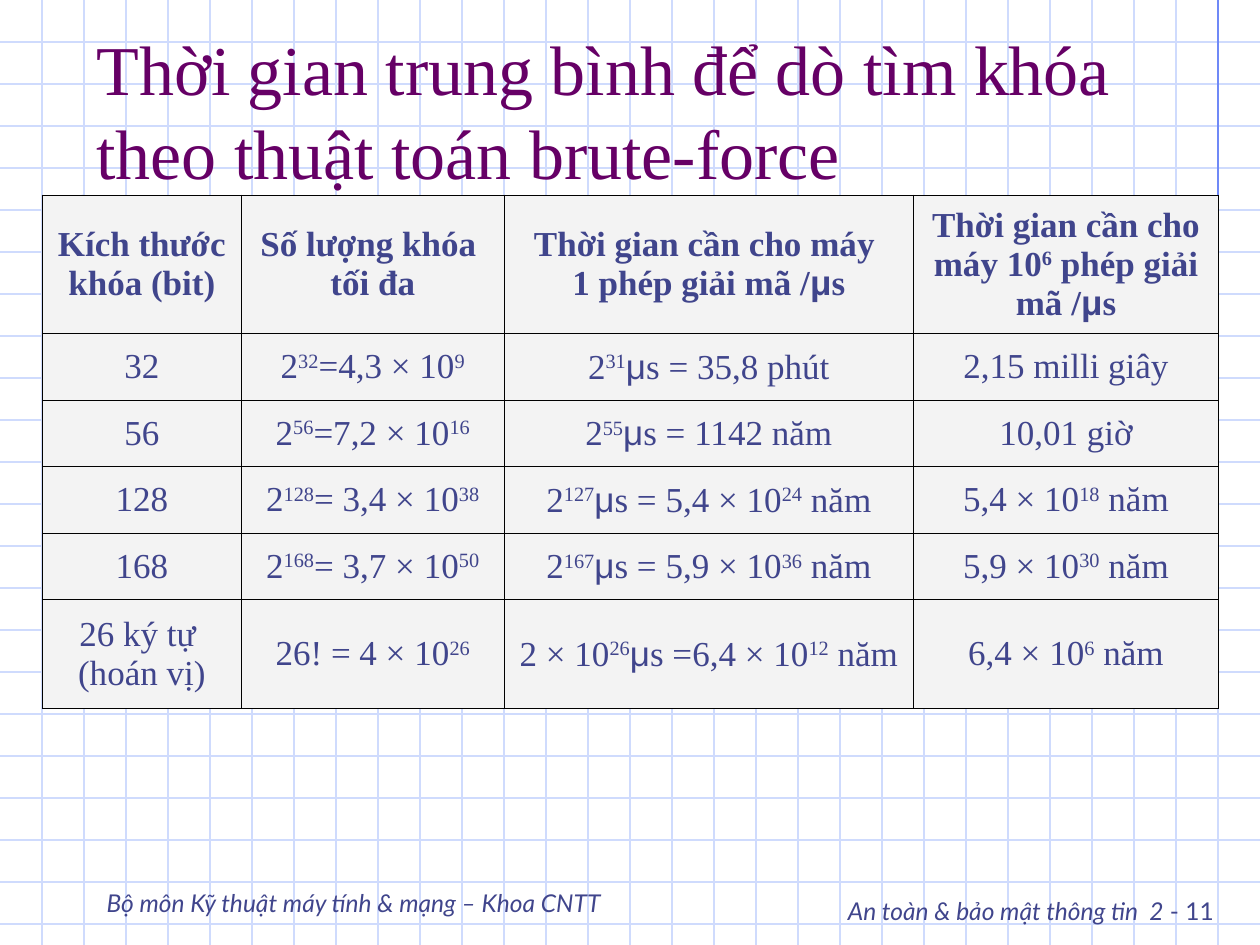
"""Build the slide on average brute-force key search times."""
from lxml import etree
from pptx import Presentation
from pptx.dml.color import RGBColor
from pptx.enum.shapes import MSO_CONNECTOR, MSO_SHAPE
from pptx.enum.text import MSO_ANCHOR, MSO_AUTO_SIZE, PP_ALIGN
from pptx.oxml.ns import qn
from pptx.util import Cm, Pt

STRAIGHT = MSO_CONNECTOR.STRAIGHT
ARC = MSO_SHAPE.ARC
TOP, MIDDLE, BOTTOM = MSO_ANCHOR.TOP, MSO_ANCHOR.MIDDLE, MSO_ANCHOR.BOTTOM
NO_AUTOFIT = MSO_AUTO_SIZE.NONE
LEFT, CENTER, RIGHT = PP_ALIGN.LEFT, PP_ALIGN.CENTER, PP_ALIGN.RIGHT

COLORS = {
    "grid": "CFDBFD",
    "accent": "6F89F7",
    "title": "660066",
    "text": "40458C",
    "cell": "F3F3F3",
    "border": "000000",
}
SERIF, SANS, MU_FONT = "Times New Roman", "Lato", "Arial"

WIDTH, HEIGHT = 25.4, 19.05
GRID_STEP = WIDTH / 30
COLUMN_WIDTHS = [4.02, 5.29, 8.26, 6.14]
ROW_HEIGHTS = [2.8, 1.34, 1.34, 1.34, 1.34, 2.19]

# Every second piece between bars is a superscript.
KEY_TIMES = [
    ["Kích thước khóa (bit)", "Số lượng khóa \ntối đa",
     "Thời gian cần cho máy \n1 phép giải mã /μs",
     "Thời gian cần cho máy 10|6| phép giải mã /μs"],
    ["32", "2|32|=4,3 × 10|9", "2|31|μs = 35,8 phút", "2,15 milli giây"],
    ["56", "2|56|=7,2 × 10|16", "2|55|μs = 1142 năm", "10,01 giờ"],
    ["128", "2|128|= 3,4 × 10|38", "2|127|μs = 5,4 × 10|24| năm",
     "5,4 × 10|18| năm"],
    ["168", "2|168|= 3,7 × 10|50", "2|167|μs = 5,9 × 10|36| năm",
     "5,9 × 10|30| năm"],
    ["26 ký tự \n(hoán vị)", "26! = 4 × 10|26",
     "2 × 10|26|μs =6,4 × 10|12| năm", "6,4 × 10|6| năm"],
]


def rgb(name):
    """Return the named colour."""
    return RGBColor.from_string(COLORS[name])


def style_paragraph(paragraph, font_name, size, color, align=LEFT):
    """Set the font and alignment shared by a paragraph's runs."""
    paragraph.alignment = align
    paragraph.font.name = font_name
    paragraph.font.size = Pt(size)
    paragraph.font.color.rgb = rgb(color)


def add_line(shapes, start, end, color):
    """Draw a thin straight line between two points in centimetres."""
    line = shapes.add_connector(STRAIGHT, *map(Cm, start + end))
    line.line.color.rgb = rgb(color)
    line.line.width = Pt(0.75)
    etree.SubElement(line._element.spPr, qn("a:effectLst"))


def add_grid(slide):
    """Draw the squared-paper background."""
    lines = slide.shapes.add_group_shape().shapes
    for row in range(1, 23):
        y = row * GRID_STEP
        add_line(lines, (0, y), (WIDTH, y), "grid")
    for column in range(1, 30):
        x = column * GRID_STEP
        add_line(lines, (x, 0), (x, HEIGHT), "grid")


def add_margin_lines(slide):
    """Draw the darker margin lines and the small ring at their crossing."""
    margins = slide.shapes.add_group_shape().shapes
    right, left = 29 * GRID_STEP, 2 * GRID_STEP
    add_line(margins, (right, 0), (right, 6.55), "accent")
    add_line(margins, (6.1, 4.22), (1.14, 4.22), "accent")
    add_line(margins, (left, 3.94), (left, 10.39), "accent")
    ring = margins.add_shape(ARC, Cm(1.42), Cm(3.94), Cm(0.53), Cm(0.53))
    ring.adjustments[0], ring.adjustments[1] = 0, 162
    ring.shadow.inherit = False
    ring.fill.background()
    ring.line.color.rgb = rgb("accent")
    ring.line.width = Pt(0.75)


def place_title(slide, text):
    """Fill the title placeholder and bring it in front of the grid."""
    title = slide.shapes.title
    title.left, title.top = Cm(1.69), Cm(0.85)
    title.width, title.height = Cm(21.59), Cm(3.18)
    frame = title.text_frame
    frame.text = text
    frame.auto_size = NO_AUTOFIT
    frame.vertical_anchor = BOTTOM
    style_paragraph(frame.paragraphs[0], SERIF, 40, "title")
    slide.shapes._spTree.append(title._element)


def add_footer(slide, box, pieces, align, anchor):
    """Add a footer from (text, size, italic) pieces."""
    footer = slide.shapes.add_textbox(*map(Cm, box))
    frame = footer.text_frame
    frame.word_wrap = True
    frame.vertical_anchor = anchor
    paragraph = frame.paragraphs[0]
    style_paragraph(paragraph, SANS, 14, "text", align)
    for text, size, italic in pieces:
        run = paragraph.add_run()
        run.text = text
        run.font.size = Pt(size)
        run.font.italic = italic


def add_run(paragraph, text, raised):
    """Append a run, raised as a superscript or with the font for mu."""
    run = paragraph.add_run()
    run.text = text
    if raised:
        run._r.get_or_add_rPr().set("baseline", "30000")
    if text == "μ":
        run.font.name = MU_FONT


def write_formula(paragraph, formula):
    """Write text with superscripts, mu signs and line breaks."""
    for index, piece in enumerate(formula.split("|")):
        for line_number, line in enumerate(piece.split("\n")):
            if line_number:
                paragraph.add_line_break()
            before, mu, after = line.partition("μ")
            for text in filter(None, (before, mu, after)):
                add_run(paragraph, text, index % 2 == 1)


def add_borders(cell):
    """Give a cell thin borders on all four sides."""
    properties = cell._tc.get_or_add_tcPr()
    for side in ("lnL", "lnR", "lnT", "lnB"):
        border = etree.SubElement(properties, qn(f"a:{side}"), w=str(Pt(0.45)))
        fill = etree.SubElement(border, qn("a:solidFill"))
        etree.SubElement(fill, qn("a:srgbClr"), val=COLORS["border"])


def add_key_table(slide):
    """Add the table of key sizes and search times."""
    table = slide.shapes.add_table(
        len(ROW_HEIGHTS), len(COLUMN_WIDTHS), Cm(0.85), Cm(3.93),
        Cm(sum(COLUMN_WIDTHS)), Cm(sum(ROW_HEIGHTS))).table
    for column, width in zip(table.columns, COLUMN_WIDTHS):
        column.width = Cm(width)
    for row_index, formulas in enumerate(KEY_TIMES):
        row = table.rows[row_index]
        row.height = Cm(ROW_HEIGHTS[row_index])
        for cell, formula in zip(row.cells, formulas):
            add_borders(cell)
            cell.fill.solid()
            cell.fill.fore_color.rgb = rgb("cell")
            cell.vertical_anchor = MIDDLE
            paragraph = cell.text_frame.paragraphs[0]
            style_paragraph(paragraph, SERIF, 20, "text", CENTER)
            paragraph.font.bold = row_index == 0
            write_formula(paragraph, formula)


def main():
    """Build and save the slide."""
    presentation = Presentation()
    presentation.slide_width, presentation.slide_height = Cm(WIDTH), Cm(HEIGHT)
    slide = presentation.slides.add_slide(presentation.slide_layouts[5])
    add_grid(slide)
    add_margin_lines(slide)
    add_footer(slide, (15.88, 17.58, 8.84, 1.27),
               [("An toàn & bảo mật thông tin", 14, True), (" ", 24, False),
                ("2", 14, True), (" - 11", 14, False)], RIGHT, TOP)
    add_footer(slide, (1.9, 17.35, 14.17, 1.27),
               [("Bộ môn Kỹ thuật máy tính & mạng – Khoa CNTT", 14, True)],
               LEFT, BOTTOM)
    place_title(
        slide, "Thời gian trung bình để dò tìm khóa theo thuật toán brute-force")
    add_key_table(slide)
    presentation.save("out.pptx")


if __name__ == "__main__":
    main()
